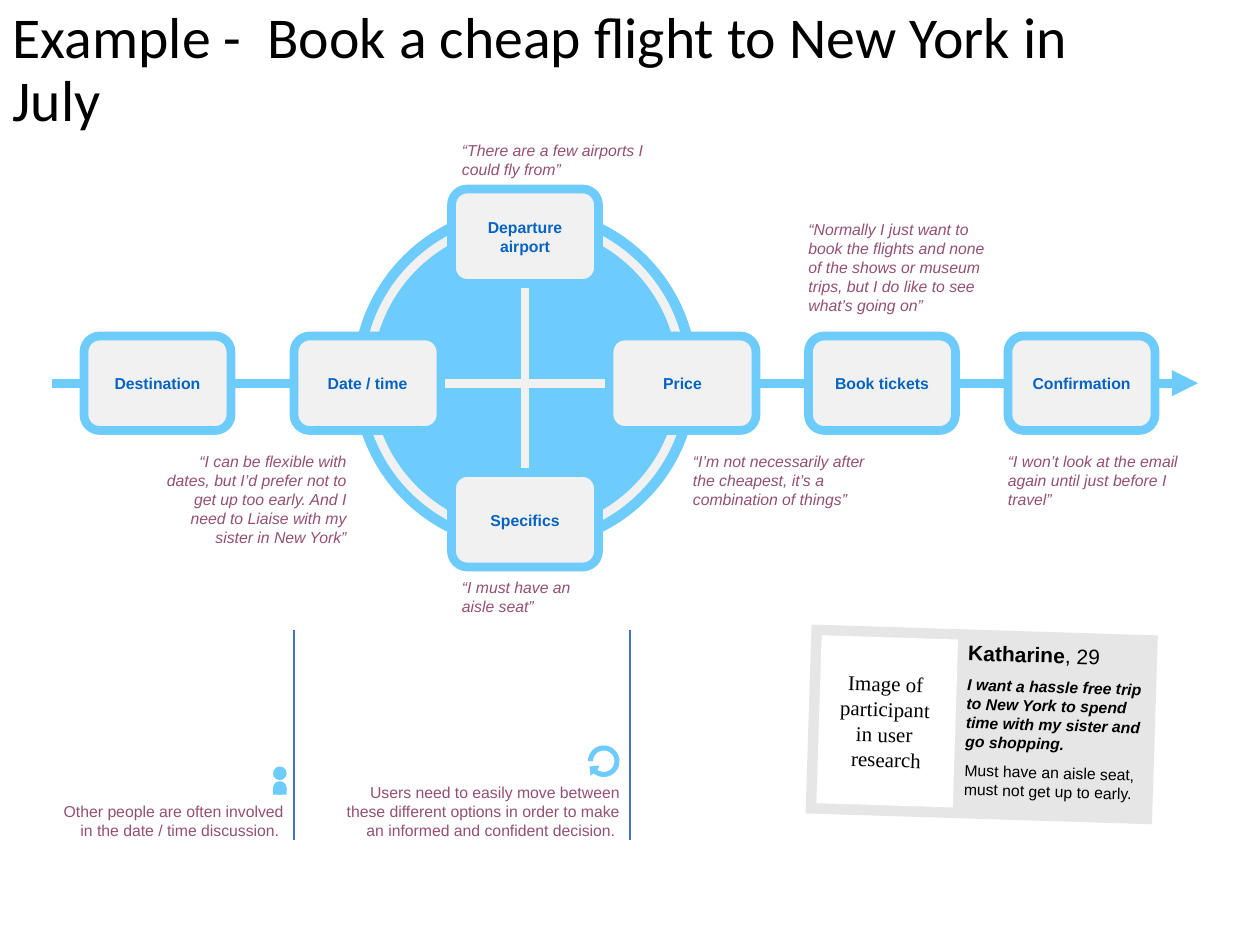
from math import cos, radians, sin

from pptx import Presentation
from pptx.dml.color import RGBColor
from pptx.enum.shapes import MSO_CONNECTOR as Line, MSO_SHAPE as Shape
from pptx.enum.text import MSO_ANCHOR as Anchor, MSO_AUTO_SIZE as AutoSize, PP_ALIGN as Align
from pptx.oxml.ns import qn
from pptx.util import Emu, Pt
from lxml.etree import SubElement

PX = 7620
TILT = 1.8
ICON = 30
STEP_W, STEP_H = 140, 90
MARGINS = (12, 6, 12, 6)
SKY = RGBColor(0x6D, 0xCC, 0xFC)
PALE = RGBColor(0xF1, 0xF1, 0xF1)
BLUE = RGBColor(0x05, 0x63, 0xC1)
PLUM = RGBColor(0x95, 0x4F, 0x72)
RULE = RGBColor(0x44, 0x72, 0xC4)
GREY = RGBColor(0xE6, 0xE6, 0xE6)
WHITE = RGBColor(0xFF, 0xFF, 0xFF)
BLACK = RGBColor(0, 0, 0)


def px(*lengths):
    """Turn px lengths into EMU."""
    return [Emu(round(length * PX)) for length in lengths]


def write(box, paras, size, color, font="Arial", align=Align.LEFT, anchor=Anchor.TOP,
          margins=(0, 0, 0, 0), wrap=True):
    """Fill a shape with paragraphs, each a list of (text, bold, italic) runs."""
    frame = box.text_frame
    frame.auto_size = AutoSize.NONE
    frame.word_wrap = wrap
    frame.vertical_anchor = anchor
    (frame.margin_left, frame.margin_top,
     frame.margin_right, frame.margin_bottom) = px(*margins)
    for index, runs in enumerate(paras):
        para = frame.paragraphs[0] if index == 0 else frame.add_paragraph()
        para.alignment = align
        for text, bold, italic in runs:
            span = para.add_run()
            span.text = text
            span.font.name, span.font.size = font, Pt(size)
            span.font.bold, span.font.italic = bold, italic
            span.font.color.rgb = color
    return frame


def add_text(page, area, text, italic=False, **layout):
    """Add a plum text box."""
    box = page.shapes.add_textbox(*px(*area))
    write(box, [[(text, False, italic)]], 9, PLUM, **layout)


def add_block(page, kind, area, fill=None, line=None, rotation=0):
    """Add a preset shape with an optional fill and 5 pt outline."""
    block = page.shapes.add_shape(kind, *px(*area))
    block.shadow.inherit = False
    block.rotation = rotation
    if fill is None:
        block.fill.background()
    else:
        block.fill.solid()
        block.fill.fore_color.rgb = fill
    if line is None:
        block.line.fill.background()
    else:
        block.line.color.rgb = line
        block.line.width = Pt(5)
    return block


def add_line(page, ends, color, width=5, start=None, end=None, arrow=False):
    """Add a straight connector, joined to start's right and end's left side."""
    line = page.shapes.add_connector(Line.STRAIGHT, *px(*ends))
    line.line.color.rgb = color
    line.line.width = Pt(width)
    if start is not None:
        line.begin_connect(start, 3)
    if end is not None:
        line.end_connect(end, 1)
    properties = line._element.spPr
    if arrow:
        SubElement(properties.find(qn("a:ln")), qn("a:tailEnd"), type="triangle")
    SubElement(properties, qn("a:effectLst"))


def add_title(page, left, top, width, height):
    """Place and format the slide title."""
    title = page.shapes.title
    title.left, title.top, title.width, title.height = px(left, top, width, height)
    frame = write(title, [[("Example -  Book a cheap flight to New York in July", False, False)]],
                  33, BLACK, "Calibri", anchor=Anchor.MIDDLE, margins=MARGINS)
    frame.paragraphs[0].line_spacing = 0.9


def add_step(page, left, top, name):
    """Add one rounded step of the journey."""
    step = add_block(page, Shape.ROUNDED_RECTANGLE, (left, top, STEP_W, STEP_H), PALE, SKY)
    write(step, [[(name, True, False)]], 9, BLUE, align=Align.CENTER,
          anchor=Anchor.MIDDLE, margins=MARGINS, wrap=name != "Confirmation")
    return step


def add_journey(page, left, top):
    """Draw the wheel of options and the line of steps through it."""
    middle, hub = top + 235, left + 450
    for radius, fill, line in ((160, SKY, SKY), (150, None, PALE)):
        add_block(page, Shape.OVAL, (hub - radius, middle - 5 - radius, 2 * radius, 2 * radius),
                  fill, line)
    row = [add_step(page, left + x, middle - STEP_H // 2, name) for x, name in (
        (30, "Destination"), (230, "Date / time"), (530, "Price"),
        (720, "Book tickets"), (910, "Confirmation"))]
    for y, name in ((50, "Departure airport"), (320, "Specifics")):
        add_step(page, hub - STEP_W // 2, top + y, name)
    add_line(page, (hub - 76, middle, hub + 76, middle), PALE)
    add_line(page, (hub, middle - 91, hub, middle + 81), PALE)
    for start, end in ((0, 1), (2, 3), (3, 4)):
        add_line(page, (left, middle, left, middle), SKY, start=row[start], end=row[end])
    add_line(page, (left, middle, left + 30, middle), SKY, end=row[0])
    add_line(page, (left + 1050, middle, left + 1091, middle), SKY, start=row[-1], arrow=True)
    for x, y, width, height, align, anchor, text in (
            (390, 0, 180, 40, Align.LEFT, Anchor.BOTTOM,
             "“There are a few airports I could fly from”"),
            (720, 74, 180, 96, Align.LEFT, Anchor.BOTTOM,
             "“Normally I just want to book the flights and none of the shows or museum trips, "
             "but I do like to see what’s going on”"),
            (100, 300, 180, 100, Align.RIGHT, Anchor.TOP,
             "“I can be flexible with dates, but I’d prefer not to get up too early. "
             "And I need to Liaise with my sister in New York”"),
            (610, 300, 180, 60, Align.LEFT, Anchor.TOP,
             "“I’m not necessarily after the cheapest, it’s a combination of things”"),
            (910, 300, 190, 60, Align.LEFT, Anchor.TOP,
             "“I won’t look at the email again until just before I travel”"),
            (390, 420, 130, 50, Align.LEFT, Anchor.TOP, "“I must have an aisle seat”")):
        add_text(page, (left + x, top + y, width, height), text, True, align=align, anchor=anchor)


def add_person(page, left, top):
    """Draw the person icon."""
    for kind, y, height in ((Shape.RECTANGLE, 20, 7), (Shape.OVAL, 0, 13), (Shape.OVAL, 14, 13)):
        add_block(page, kind, (left, top + y, 13, height), SKY)


def add_cycle(page, left, top):
    """Draw the round arrow icon in tenths of a px."""
    def arc(radius, angles):
        """List points on a circle about the icon's centre."""
        half = ICON * 5
        return [(round(half + radius * cos(radians(a))), round(half + radius * sin(radians(a))))
                for a in angles]

    points = arc(102, range(126, -181, -6)) + arc(150, range(-180, 131, 5))
    points += [(25, 288), (15, 200), (110, 190)]
    builder = page.shapes.build_freeform(*points[0], scale=PX / 10)
    builder.add_line_segments(points[1:], close=True)
    icon = builder.convert_to_shape(*px(left, top))
    icon.shadow.inherit = False
    icon.fill.solid()
    icon.fill.fore_color.rgb = SKY
    icon.line.fill.background()


def add_note(page, left, top, width, text):
    """Add a right-aligned note with a rule on its right."""
    rule = left + width + 10
    add_line(page, (rule, top, rule, top + 200), RULE, 0.75)
    add_text(page, (left, top + 90, width, 110), text, align=Align.RIGHT, anchor=Anchor.BOTTOM)


def add_notes(page, left, top):
    """Place both notes and their icons."""
    add_note(page, left, top, 220,
             "Other people are often involved in the date / time discussion. ")
    add_person(page, left + 210, top + 130)
    add_note(page, left + 270, top, 270,
             "Users need to easily move between these different options "
             "in order to make an informed and confident decision. ")
    add_cycle(page, left + 510, top + 110)


def add_persona(page, left, top):
    """Draw the tilted persona card."""
    add_block(page, Shape.RECTANGLE, (left, top, 350, 200), WHITE, rotation=TILT)
    add_block(page, Shape.RECTANGLE, (left + 10, top + 10, 330, 180), GREY, rotation=TILT)
    photo = add_block(page, Shape.RECTANGLE, (left + 20, top + 17, 130, 160), WHITE, rotation=TILT)
    write(photo, [[(text, False, False)] for text in
                  ("Image of ", "participant ", "in user ", "research")],
          12, BLACK, "Times New Roman", Align.CENTER, Anchor.MIDDLE, MARGINS, False)
    profile = page.shapes.add_textbox(*px(left + 160, top + 22, 170, 160))
    profile.rotation = TILT
    frame = write(profile, [
        [("Katharine", True, False), (", 29", False, False)],
        [("I want a hassle free trip to New York to spend time with my sister and go shopping.",
          True, True)],
        [("Must have an aisle seat, must not get up to early.", False, False)]], 9, BLACK)
    for span in frame.paragraphs[0].runs:
        span.font.size = Pt(12)
    for para in frame.paragraphs[1:]:
        para.space_before = Pt(5.6)


def main():
    """Build and save the deck."""
    deck = Presentation()
    deck.slide_width, deck.slide_height = px(1200, 900)
    page = deck.slides.add_slide(deck.slide_layouts[5])
    add_title(page, 0, 22, 1117, 92)
    add_journey(page, 50, 130)
    add_notes(page, 50, 600)
    add_persona(page, 760, 590)
    deck.save("out.pptx")


if __name__ == "__main__":
    main()
